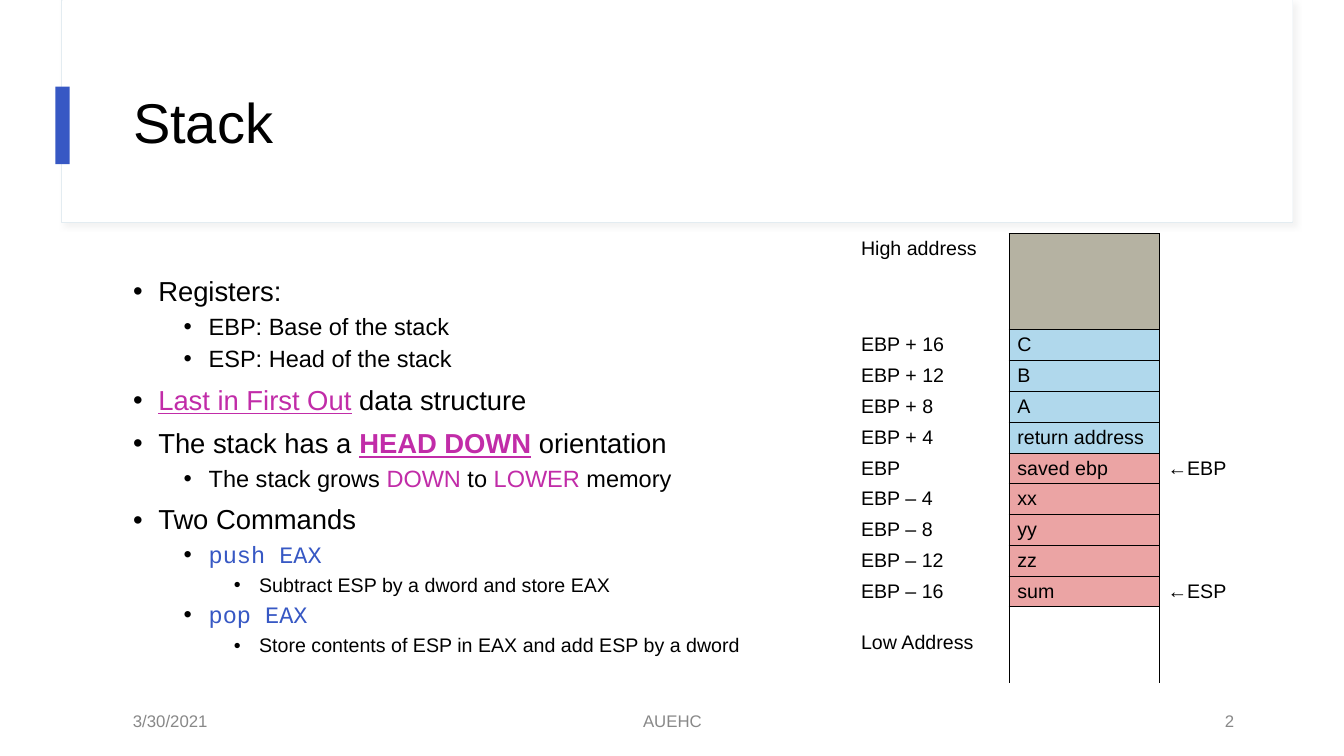
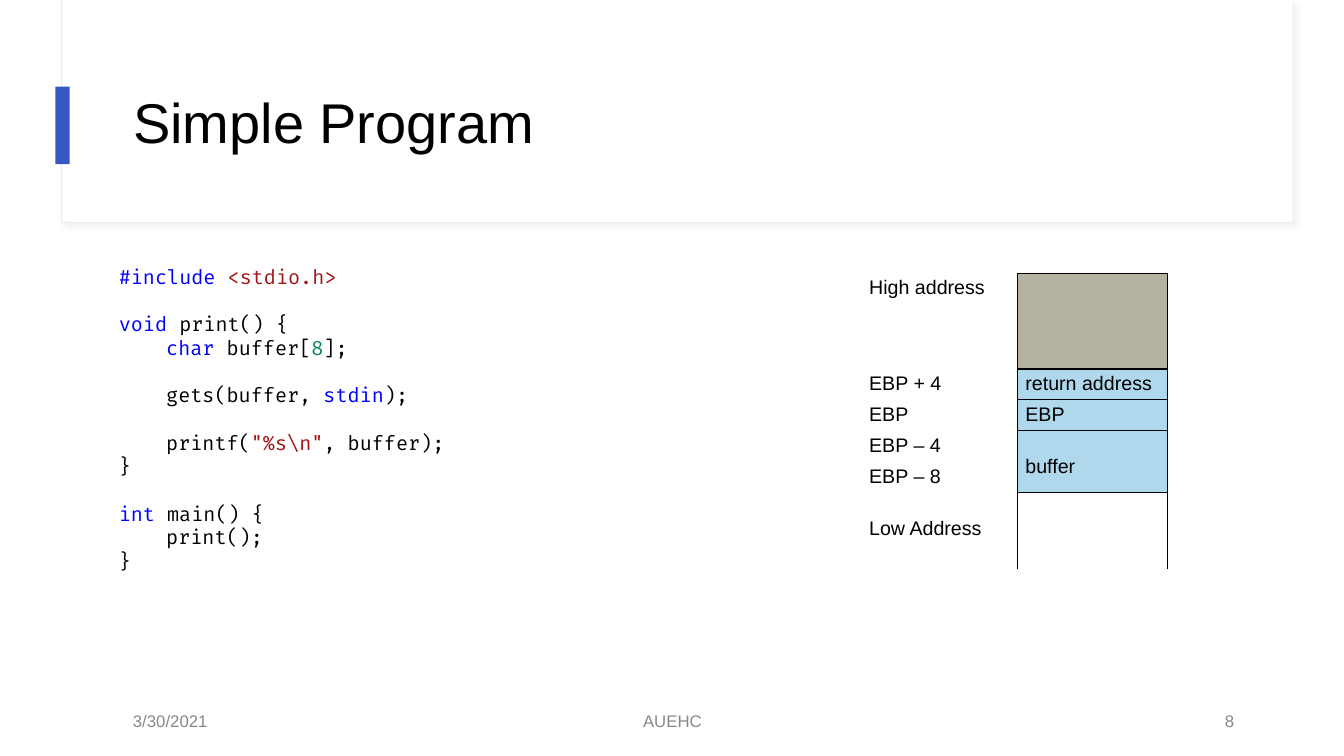
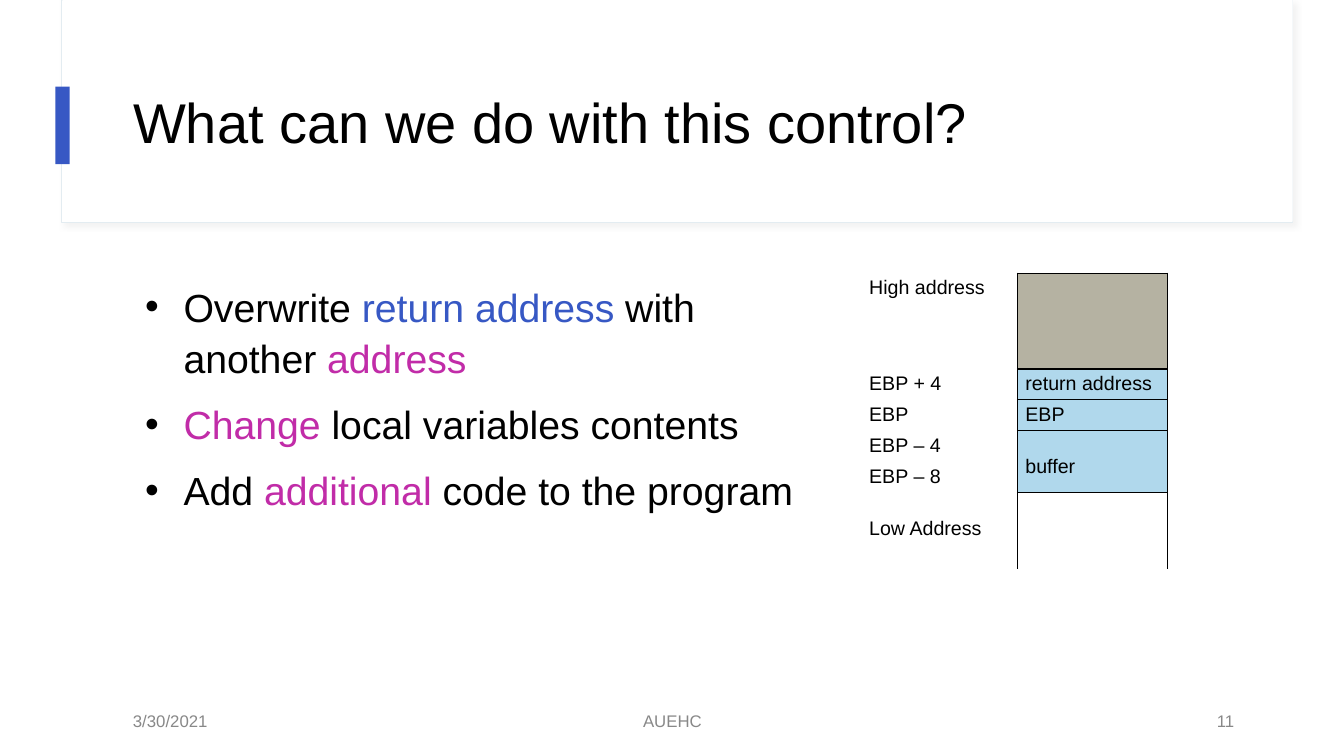
"""Build three slides on the call stack and its layout in memory."""
from copy import deepcopy
from dataclasses import dataclass
from functools import partial
from typing import Optional

from lxml.etree import SubElement
from pptx import Presentation
from pptx.dml.color import RGBColor
from pptx.enum.shapes import MSO_SHAPE
from pptx.enum.text import MSO_ANCHOR, MSO_AUTO_SIZE, PP_ALIGN
from pptx.oxml.ns import qn
from pptx.presentation import Presentation as Deck
from pptx.slide import Slide, SlideLayout
from pptx.text.text import TextFrame
from pptx.util import Inches, Pt

BLACK = RGBColor(0x00, 0x00, 0x00)
WHITE = RGBColor(0xFF, 0xFF, 0xFF)
BLUE = RGBColor(0x37, 0x58, 0xC4)
PINK = RGBColor(0xC1, 0x2C, 0xA8)
PANEL_EDGE = RGBColor(0xE3, 0xEC, 0xF1)
FOOTER_GREY = RGBColor(0x88, 0x88, 0x88)
TAUPE = RGBColor(0xB5, 0xB2, 0xA2)
SKY = RGBColor(0xB0, 0xD8, 0xEC)
ROSE = RGBColor(0xEB, 0xA4, 0xA4)
KEYWORD = RGBColor(0x00, 0x00, 0xFF)
STRING = RGBColor(0xA3, 0x15, 0x15)
NUMBER = RGBColor(0x09, 0x86, 0x58)

NO_GRID_STYLE = "{2D5ABB26-0587-4C30-8999-92F81FD0307C}"
COL_WIDTHS = (1.55, 1.49, 1.55)
END_HEIGHTS = (0.95, 0.76)
SLOT_HEIGHT = 0.3
LOWERED = 0.25
LEVEL_SIZES = (19.6, 16.8, 14)


@dataclass(frozen=True)
class Run:
    text: str
    color: RGBColor = BLACK
    font: str = "Arial"
    bold: bool = False
    underline: bool = False


@dataclass(frozen=True)
class Para:
    runs: tuple[Run, ...]
    size: float
    line: float = 1.0
    before: float = 0
    left: float = 0
    hang: float = 0
    level: int = 0
    align: PP_ALIGN = PP_ALIGN.LEFT


@dataclass(frozen=True)
class Slot:
    address: str
    value: str = ""
    fill: Optional[RGBColor] = None
    marker: str = ""
    span: int = 1


@dataclass(frozen=True)
class Band:
    left: float
    top: float
    width: float
    height: float
    fill: RGBColor
    edge: Optional[RGBColor] = None


@dataclass(frozen=True)
class Footer:
    left: float
    width: float
    align: PP_ALIGN


BANDS = (
    Band(0.61, 0, 12.21, 2.21, WHITE, PANEL_EDGE),
    Band(0.62, 0, 12.2, 2.2, WHITE),
    Band(0.55, 0.86, 0.14, 0.77, BLUE),
)
FOOTERS = (
    Footer(1.22, 3, PP_ALIGN.LEFT),
    Footer(4.42, 4.5, PP_ALIGN.CENTER),
    Footer(9.34, 3, PP_ALIGN.RIGHT),
)
Mono = partial(Run, color=BLUE, font="Courier New")
Code = partial(Run, font="Fira Code")


def bullet(level: int, *runs: Run, first: bool = False) -> Para:
    before = 0 if first else 5 if level else 10
    return Para(runs, LEVEL_SIZES[level], 0.9, before,
                0.25 + 0.5 * level, 0.25, level)


def big_bullet(*runs: Run) -> Para:
    return Para(runs, 28, 1.1, 10, 0.5, 0.38)


def code_line(*runs: Run, gap: bool = False, nested: bool = False) -> Para:
    return Para(runs, 14, before=17 if gap else 0, left=0.47 if nested else 0)


REGISTERS = (
    bullet(0, Run("Registers:"), first=True),
    bullet(1, Run("EBP: Base of the stack")),
    bullet(1, Run("ESP: Head of the stack")),
    bullet(0, Run("Last in First Out", PINK, underline=True),
           Run(" data structure")),
    bullet(0, Run("The stack has a "),
           Run("HEAD DOWN", PINK, bold=True, underline=True),
           Run(" orientation")),
    bullet(1, Run("The stack grows "), Run("DOWN", PINK), Run(" to "),
           Run("LOWER", PINK), Run(" memory")),
    bullet(0, Run("Two Commands")),
    bullet(1, Mono("push EAX")),
    bullet(2, Run("Subtract ESP by a dword and store EAX")),
    bullet(1, Mono("pop EAX")),
    bullet(2, Run("Store contents of ESP in EAX and add ESP by a dword")),
)
PROGRAM = (
    code_line(Code("#include ", KEYWORD), Code("<stdio.h>", STRING)),
    code_line(Code("void", KEYWORD), Code(" print() {"), gap=True),
    code_line(Code("char", KEYWORD), Code(" buffer["), Code("8", NUMBER),
              Code("];"), nested=True),
    code_line(Code("gets(buffer, "), Code("stdin", KEYWORD), Code(");"),
              gap=True, nested=True),
    code_line(Code("printf("), Code('"%s\\n"', STRING), Code(", buffer);"),
              gap=True, nested=True),
    code_line(Code("}")),
    code_line(Code("int", KEYWORD), Code(" main() {"), gap=True),
    code_line(Code("print();"), nested=True),
    code_line(Code("}")),
)
CONTROL = (
    big_bullet(Run("Overwrite "), Run("return address ", BLUE),
               Run("with another "), Run("address", PINK)),
    big_bullet(Run("Change ", PINK), Run("local variables contents")),
    big_bullet(Run("Add "), Run("additional", PINK),
               Run(" code to the program")),
)
HIGH = Slot("High address", fill=TAUPE)
LOW = Slot("Low Address")
FULL_STACK = (
    HIGH,
    Slot("EBP + 16", "C", SKY),
    Slot("EBP + 12", "B", SKY),
    Slot("EBP + 8", "A", SKY),
    Slot("EBP + 4", "return address", SKY),
    Slot("EBP", "saved ebp", ROSE, "←EBP"),
    Slot("EBP – 4", "xx", ROSE),
    Slot("EBP – 8", "yy", ROSE),
    Slot("EBP – 12", "zz", ROSE),
    Slot("EBP – 16", "sum", ROSE, "←ESP"),
    LOW,
)
BUFFER_STACK = (
    HIGH,
    Slot("EBP + 4", "return address", SKY),
    Slot("EBP", "EBP", SKY),
    Slot("EBP – 4", "buffer", SKY, span=2),
    Slot("EBP – 8", fill=SKY),
    LOW,
)


def write(tf: TextFrame, paras: tuple[Para, ...]) -> None:
    tf.word_wrap = True
    tf.auto_size = MSO_AUTO_SIZE.NONE
    for i, para in enumerate(paras):
        p = tf.add_paragraph() if i else tf.paragraphs[0]
        p.alignment, p.level = para.align, para.level
        p.line_spacing, p.space_before = para.line, Pt(para.before)
        pPr = p._p.get_or_add_pPr()
        pPr.set("marL", str(Inches(para.left)))
        pPr.set("indent", str(-Inches(para.hang)))
        if para.hang:
            clr = SubElement(pPr, qn("a:buClr"))
            SubElement(clr, qn("a:srgbClr"), val=str(BLACK))
            SubElement(pPr, qn("a:buFont"), typeface="Arial")
            SubElement(pPr, qn("a:buChar"), char="•")
        for run in para.runs:
            r = p.add_run()
            r.text = run.text
            r.font.name, r.font.size = run.font, Pt(para.size)
            r.font.bold, r.font.underline = run.bold, run.underline
            r.font.color.rgb = run.color


def add_text(s: Slide, left: float, top: float, width: float, height: float,
             paras: tuple[Para, ...], anchor: MSO_ANCHOR) -> None:
    sp = s.shapes.add_textbox(Inches(left), Inches(top),
                              Inches(width), Inches(height))
    write(sp.text_frame, paras)
    sp.text_frame.vertical_anchor = anchor


def style_layout(layout: SlideLayout, s: Slide) -> None:
    for i, band in enumerate(BANDS):
        sp = s.shapes.add_shape(
            MSO_SHAPE.RECTANGLE, Inches(band.left), Inches(band.top),
            Inches(band.width), Inches(band.height))
        sp.shadow.inherit = False
        sp.fill.solid()
        sp.fill.fore_color.rgb = band.fill
        if band.edge:
            sp.line.color.rgb = band.edge
            sp.line.width = Pt(0.75)
            effects = sp.element.spPr.find(qn("a:effectLst"))
            shadow = SubElement(
                effects, qn("a:outerShdw"), blurRad=str(Pt(4)),
                dist=str(Pt(3)), dir="2700000", algn="tl", rotWithShape="0")
            clr = SubElement(shadow, qn("a:srgbClr"), val="D8D8D8")
            SubElement(clr, qn("a:alpha"), val="30000")
        else:
            sp.line.fill.background()
        part = deepcopy(sp.element)
        part.nvSpPr.cNvPr.set("id", str(100 + i))
        layout.shapes.element.insert(2 + i, part)
        s.shapes.element.remove(sp.element)
    title, body = layout.placeholders[0], layout.placeholders[1]
    for ph, top, height in ((title, 0.6, 1.29), (body, 2.71, 4.04)):
        ph.left, ph.top = Inches(1.22), Inches(top)
        ph.width, ph.height = Inches(11.12), Inches(height)
    title.text_frame.vertical_anchor = MSO_ANCHOR.MIDDLE
    body.text_frame.vertical_anchor = MSO_ANCHOR.TOP


def add_content(s: Slide, title: str, number: str,
                paras: tuple[Para, ...] = ()) -> None:
    write(s.shapes.title.text_frame, (Para((Run(title),), 40, 0.9),))
    body = s.placeholders[1]
    if paras:
        write(body.text_frame, paras)
    else:
        s.shapes.element.remove(body.element)
    for footer, text in zip(FOOTERS, ("3/30/2021", "AUEHC", number)):
        para = Para((Run(text, FOOTER_GREY),), 12, align=footer.align)
        add_text(s, footer.left, 6.95, footer.width, 0.4, (para,),
                 MSO_ANCHOR.MIDDLE)


def add_stack(s: Slide, left: float, top: float,
              slots: tuple[Slot, ...]) -> None:
    last = len(slots) - 1
    heights = [END_HEIGHTS[0], *[SLOT_HEIGHT] * (last - 1), END_HEIGHTS[1]]
    frame = s.shapes.add_table(
        len(slots), len(COL_WIDTHS), Inches(left), Inches(top),
        Inches(sum(COL_WIDTHS)), Inches(sum(heights)))
    for style in frame.element.iter(qn("a:tableStyleId")):
        style.text = NO_GRID_STYLE
    tbl = frame.table
    tbl.first_row = tbl.horz_banding = False
    for col, width in zip(tbl.columns, COL_WIDTHS):
        col.width = Inches(width)
    for row, height in zip(tbl.rows, heights):
        row.height = Inches(height)
    for i, slot in enumerate(slots):
        if slot.span > 1:
            tbl.cell(i, 1).merge(tbl.cell(i + slot.span - 1, 1))
        sides = "LRT" if i == last else "LRTB"
        columns = ((slot.address, ""), (slot.value, sides), (slot.marker, "L"))
        for j, (text, borders) in enumerate(columns):
            cell = tbl.cell(i, j)
            lowered = (slot is LOW and j == 0) or (slot.span > 1 and j == 1)
            cell.margin_left = cell.margin_right = Inches(0.08)
            cell.margin_top = Inches(LOWERED if lowered else 0.04)
            cell.margin_bottom = Inches(0.03)
            tcPr = cell._tc.get_or_add_tcPr()
            for side in borders:
                ln = SubElement(tcPr, qn(f"a:ln{side}"), w=str(Pt(1)))
                fill = SubElement(ln, qn("a:solidFill"))
                SubElement(fill, qn("a:srgbClr"), val=str(BLACK))
            if j == 1 and slot.fill:
                cell.fill.solid()
                cell.fill.fore_color.rgb = slot.fill
            else:
                cell.fill.background()
            p = cell.text_frame.paragraphs[0]
            if text:
                r = p.add_run()
                r.text = text
                r.font.name, r.font.size = "Arial", Pt(14)
                r.font.color.rgb = BLACK
            else:
                SubElement(p._p, qn("a:endParaRPr"), sz="1400")


def build() -> Deck:
    prs = Presentation()
    prs.slide_width, prs.slide_height = Inches(13.33), Inches(7.5)
    layout = prs.slide_layouts[1]
    stack, program, control = [prs.slides.add_slide(layout) for _ in range(3)]
    style_layout(layout, stack)

    add_content(stack, "Stack", "2", REGISTERS)
    add_stack(stack, 8.46, 2.32, FULL_STACK)

    add_content(program, "Simple Program", "8")
    add_stack(program, 8.54, 2.71, BUFFER_STACK)
    add_text(program, 1.08, 2.58, 5.78, 3.64, PROGRAM, MSO_ANCHOR.TOP)

    add_content(control, "What can we do with this control?", "11", CONTROL)
    body = control.placeholders[1]
    body.left, body.top = Inches(1.22), Inches(2.71)
    body.width, body.height = Inches(6.84), Inches(4.04)
    add_stack(control, 8.54, 2.71, BUFFER_STACK)
    return prs


if __name__ == "__main__":
    build().save("out.pptx")
